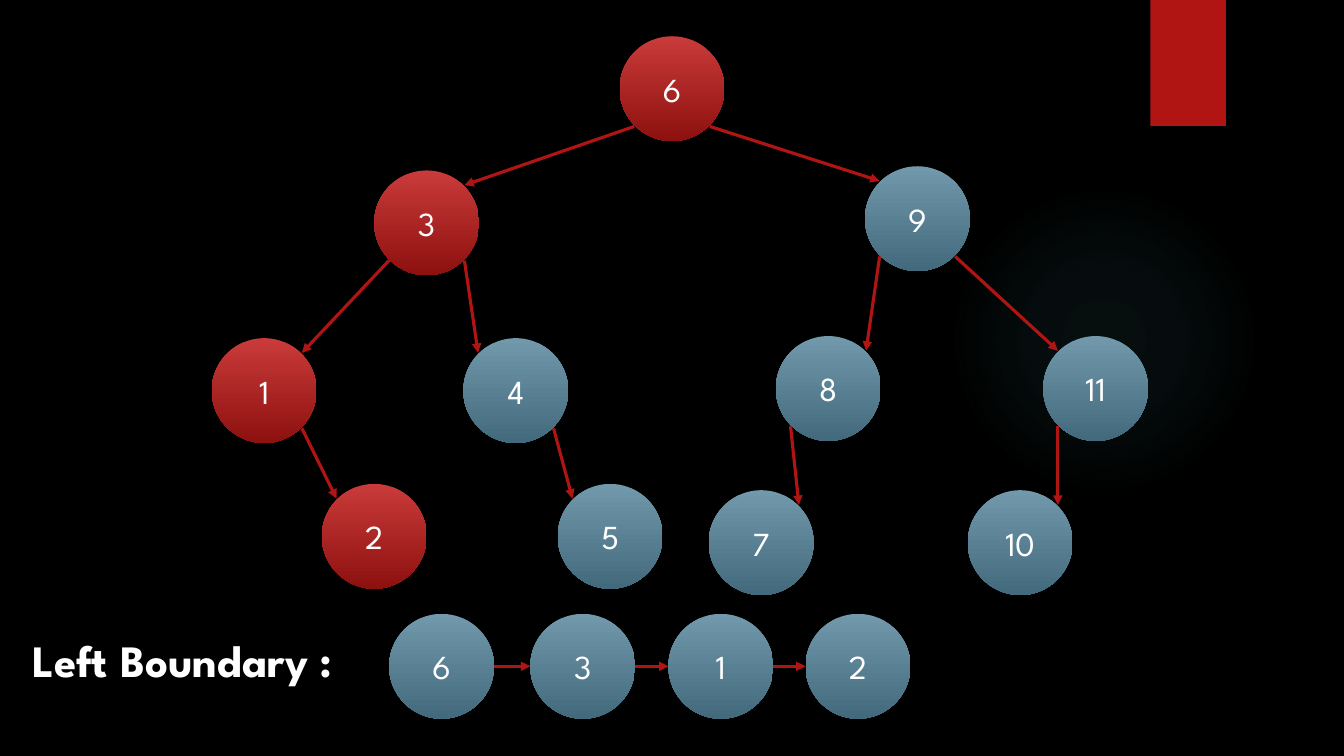
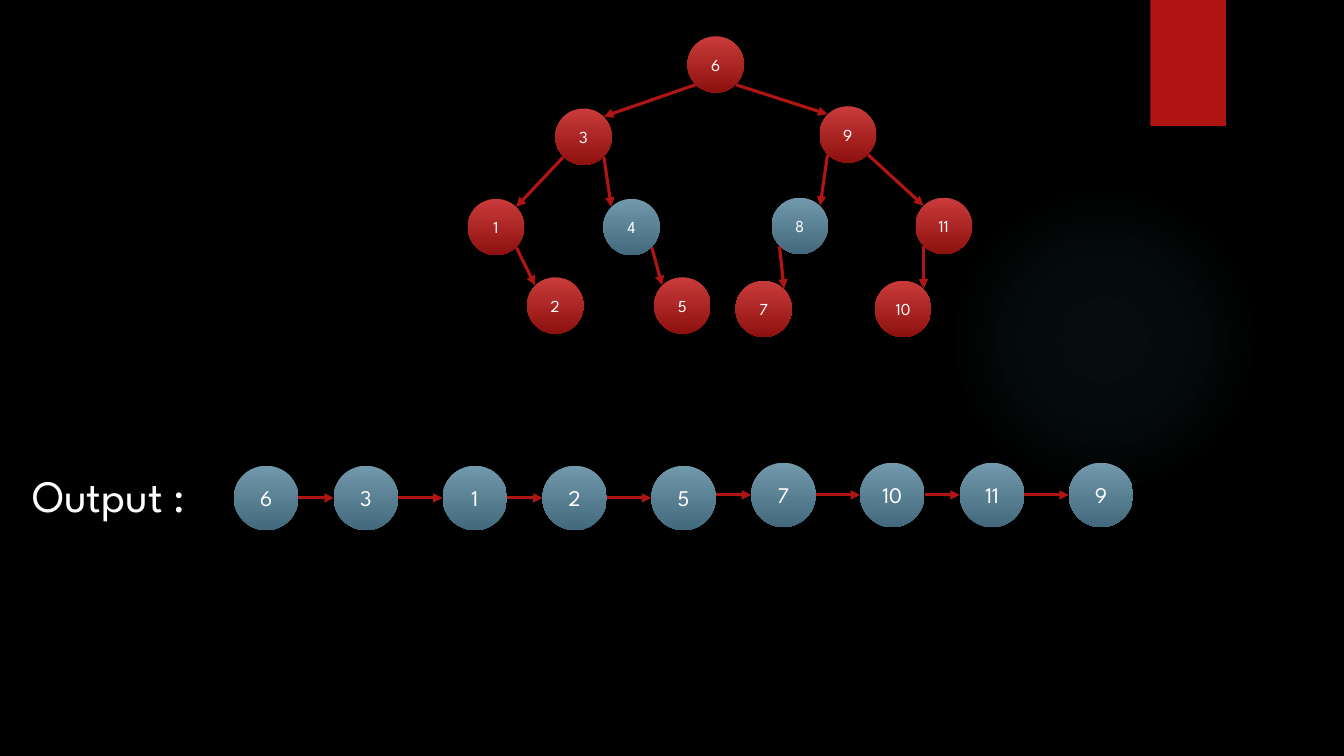
from itertools import cycle

from lxml import etree
from pptx import Presentation
from pptx.dml.color import RGBColor
from pptx.enum.shapes import MSO_CONNECTOR, MSO_SHAPE
from pptx.enum.text import MSO_ANCHOR, MSO_AUTO_SIZE, PP_ALIGN
from pptx.oxml import parse_xml
from pptx.oxml.ns import nsdecls, qn
from pptx.util import Inches, Pt

OVAL, RECTANGLE = MSO_SHAPE.OVAL, MSO_SHAPE.RECTANGLE
STRAIGHT = MSO_CONNECTOR.STRAIGHT
MIDDLE, CENTER = MSO_ANCHOR.MIDDLE, PP_ALIGN.CENTER
FIT_SHAPE = MSO_AUTO_SIZE.SHAPE_TO_FIT_TEXT

BLACK = RGBColor(0x00, 0x00, 0x00)
WHITE = RGBColor(0xFF, 0xFF, 0xFF)
RED = RGBColor(0xB0, 0x15, 0x13)
GLOW = RGBColor(0x50, 0xB9, 0xC1)
RED_SHADE = (RGBColor(0xC9, 0x3B, 0x3A), RGBColor(0x8D, 0x11, 0x0F))
BLUE_SHADE = (RGBColor(0x71, 0x98, 0xAB), RGBColor(0x43, 0x6A, 0x7C))
FONT = "League Spartan"

# Top left corner of each tree node, in node diameters from the tree's corner
TREE_NODES = {
    6: (3.89, 0),
    3: (1.55, 1.28), 9: (6.23, 1.24),
    1: (0, 2.88), 4: (2.4, 2.88), 8: (5.38, 2.86), 11: (7.93, 2.86),
    2: (1.05, 4.27), 5: (3.3, 4.27), 7: (4.74, 4.33), 10: (7.21, 4.33),
}
LEFT_CHILDREN = [(6, 3), (3, 1), (9, 8), (8, 7), (11, 10)]
RIGHT_CHILDREN = [(6, 9), (3, 4), (9, 11), (4, 5), (1, 2)]
NEAR, FAR = 0.14, 0.86  # diagonal points of a circle, as shares of its diameter


def add_plain_shape(shapes, kind, left, top, width, height):
    sp = shapes.add_shape(kind, Inches(left), Inches(top), Inches(width), Inches(height))
    sp.shadow.inherit = False
    sp.line.fill.background()
    return sp


def add_node(shapes, value, left, top, diameter, size, shade):
    sp = add_plain_shape(shapes, OVAL, left, top, diameter, diameter)
    sp.fill.gradient()
    sp.fill.gradient_angle = 270
    for stop, color in zip(sp.fill.gradient_stops, shade):
        stop.color.rgb = color
    tf = sp.text_frame
    tf.word_wrap = False
    tf.vertical_anchor = MIDDLE
    p = tf.paragraphs[0]
    p.alignment = CENTER
    write(p, str(value), size)


def write(p, text, size, bold=False):
    p.text = text
    p.font.name = FONT
    p.font.size = Pt(size)
    p.font.bold = bold
    p.font.color.rgb = WHITE


def add_arrow(shapes, x1, y1, x2, y2):
    arrow = shapes.add_connector(STRAIGHT, Inches(x1), Inches(y1), Inches(x2), Inches(y2))
    arrow.line.color.rgb = RED
    arrow.line.width = Pt(2.25)
    properties = arrow._element.spPr
    etree.SubElement(properties.find(qn("a:ln")), qn("a:tailEnd"), type="triangle")
    etree.SubElement(properties, qn("a:effectLst"))


def add_tree(s, left, top, diameter, size, marked):
    """Draw the binary tree; nodes in marked are red, the others blue."""
    shapes = s.shapes.add_group_shape().shapes
    corners = {value: (left + x * diameter, top + y * diameter)
               for value, (x, y) in TREE_NODES.items()}
    for value, (x, y) in corners.items():
        shade = RED_SHADE if value in marked else BLUE_SHADE
        add_node(shapes, value, x, y, diameter, size, shade)
    for edges, start, end in ((LEFT_CHILDREN, NEAR, FAR), (RIGHT_CHILDREN, FAR, NEAR)):
        for parent, child in edges:
            (px, py), (cx, cy) = corners[parent], corners[child]
            add_arrow(shapes, px + start * diameter, py + FAR * diameter,
                      cx + end * diameter, cy + NEAR * diameter)


def add_chain(s, left, diameter, size, nodes, gaps):
    """Link the (value, top) nodes in a row, going through gaps in turn."""
    x = left
    gap = cycle(gaps)
    for i, (value, top) in enumerate(nodes):
        if i:
            start = x
            x += next(gap)
            middle = top + diameter / 2
            add_arrow(s.shapes, start, middle, x, middle)
        add_node(s.shapes, value, x, top, diameter, size, BLUE_SHADE)
        x += diameter


def add_label(s, text, top, width, bold=False):
    box = s.shapes.add_textbox(Inches(0.22), Inches(top), Inches(width), Inches(0.64))
    tf = box.text_frame
    tf.word_wrap = False
    tf.auto_size = FIT_SHAPE
    write(tf.paragraphs[0], text, 32, bold)


def add_glow(s):
    sp = add_plain_shape(s.shapes, OVAL, 9.41, 1.83, 3.08, 3.08)
    stops = "".join(
        f'<a:gs pos="{pos}000"><a:srgbClr val="{GLOW}"><a:alpha val="{alpha}000"/></a:srgbClr></a:gs>'
        for pos, alpha in ((0, 7), (36, 6), (69, 0)))
    gradient = parse_xml(
        f'<a:gradFill {nsdecls("a")} rotWithShape="1"><a:gsLst>{stops}</a:gsLst>'
        '<a:path path="circle"><a:fillToRect l="50000" t="50000" r="50000" b="50000"/></a:path>'
        '</a:gradFill>')
    sp._element.spPr.find(qn("a:prstGeom")).addnext(gradient)


def add_base_slide(prs):
    """Add a black slide with the glow and the red tab."""
    s = prs.slides.add_slide(prs.slide_layouts[6])
    s.background.fill.solid()
    s.background.fill.fore_color.rgb = BLACK
    add_glow(s)
    tab = add_plain_shape(s.shapes, RECTANGLE, 11.41, 0, 0.75, 1.25)
    tab.fill.solid()
    tab.fill.fore_color.rgb = RED
    return s


def add_left_boundary_slide(prs):
    s = add_base_slide(prs)
    boundary = [6, 3, 1, 2]
    add_tree(s, 2.1, 0.36, 1.04, 24, boundary)
    add_label(s, "Left Boundary :", 6.23, 3.41, bold=True)
    add_chain(s, 3.86, 1.04, 24, [(value, 6.09) for value in boundary], (0.36, 0.33, 0.32))


def add_output_slide(prs):
    s = add_base_slide(prs)
    left_part, right_part = [6, 3, 1, 2, 5], [7, 10, 11, 9]
    add_tree(s, 4.64, 0.36, 0.56, 12, left_part + right_part)
    add_label(s, "Output :", 4.59, 2)
    nodes = [(value, 4.62) for value in left_part] + [(value, 4.59) for value in right_part]
    add_chain(s, 2.32, 0.64, 16, nodes, (0.35, 0.44))


def main():
    prs = Presentation()
    prs.slide_width, prs.slide_height = Inches(13.33), Inches(7.5)
    add_left_boundary_slide(prs)
    add_output_slide(prs)
    prs.save("out.pptx")


if __name__ == "__main__":
    main()
